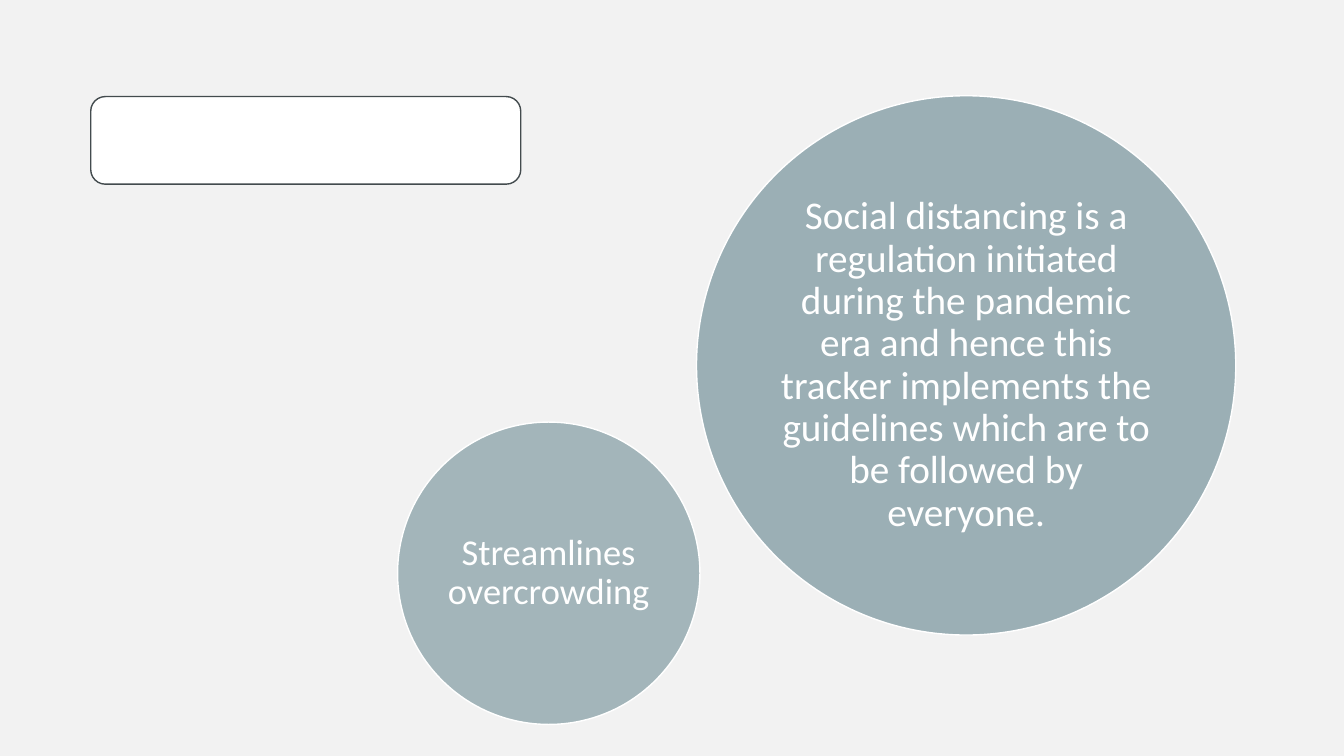
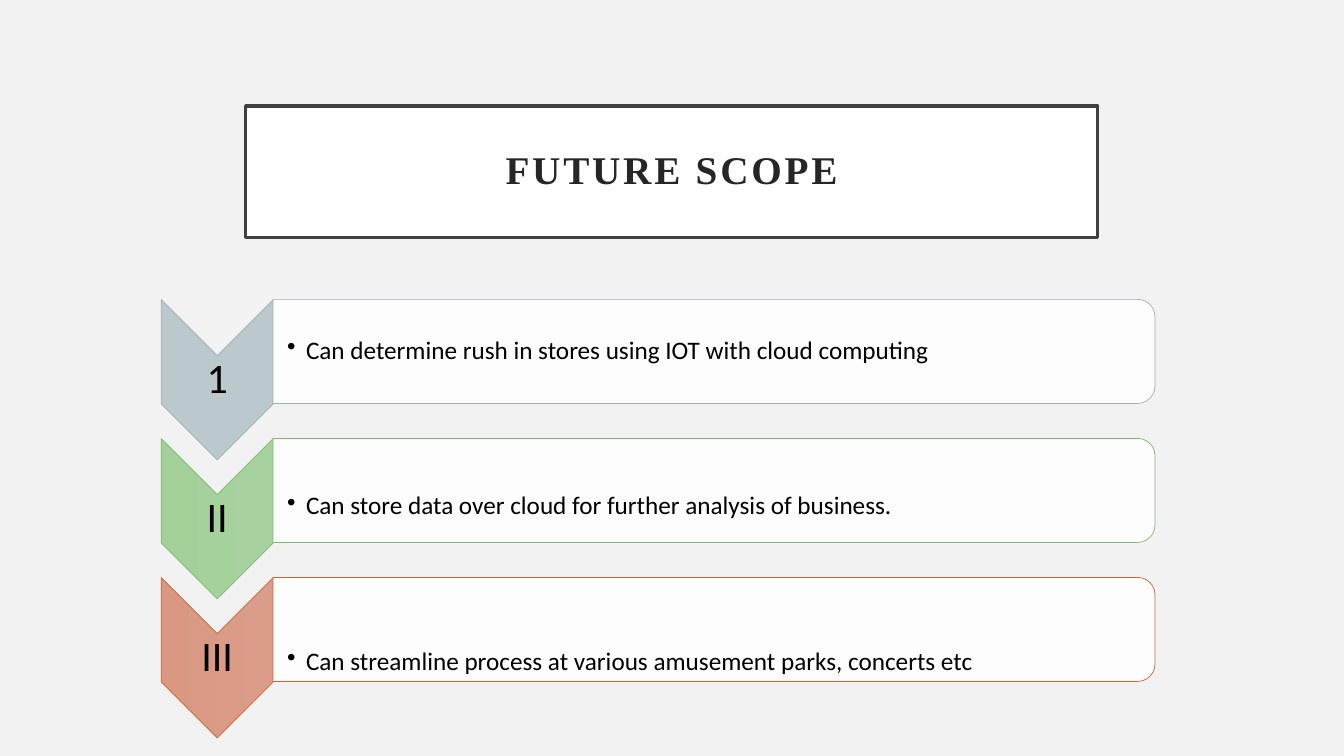
from lxml import etree
from pptx import Presentation
from pptx.dml.color import RGBColor
from pptx.enum import shapes, text
from pptx.oxml import ns
from pptx.util import Pt

BACK, WHITE, BLACK = "F2F2F2", "FFFFFF", "000000"
GREY = "9BAFB5"
BODY, HEAD = "Calibri", "Times New Roman"
KIND = shapes.MSO_SHAPE
ALIGN = text.PP_ALIGN

# number, sentence, line colour, gradient colours
ROWS = [
    ("1", "Can determine rush in stores using IOT with cloud computing",
     GREY, ("BBC8CC", "B8C6CB")),
    ("II", "Can store data over cloud for further analysis of business.",
     "7ABC69", ("A7D19E", "A3D099")),
    ("III", "Can streamline process at various amusement parks, concerts etc",
     "C96731", ("DB9C89", "DA9882")),
]


def tint(code):
    return RGBColor.from_string(code)


def sub(parent, tag, **attrs):
    return etree.SubElement(parent, ns.qn(tag), attrs)


def fade(shape, share):
    """Make a solid fill opaque to the given percentage only."""
    color = shape.fill._xPr.find(ns.qn("a:solidFill"))[0]
    sub(color, "a:alpha", val=str(share * 1000))


def draw(slide, kind, box, line, width, fill=WHITE, turn=0):
    """Add a preset shape; a pair of fill colours makes a gradient."""
    shape = slide.shapes.add_shape(kind, *map(Pt, box))
    shape.shadow.inherit = False
    shape.rotation = turn
    shape.line.color.rgb = tint(line)
    shape.line.width = Pt(width)
    if isinstance(fill, str):
        shape.fill.solid()
        shape.fill.fore_color.rgb = tint(fill)
    else:
        shape.fill.gradient()
        shape.fill.gradient_angle = 270
        for stop, code in zip(shape.fill.gradient_stops, fill):
            stop.color.rgb = tint(code)
    return shape


def write(shape, words, size, color, font=BODY, inset=(3, 3, 3, 3),
          align=ALIGN.CENTER):
    """Set one paragraph in the shape and return it with its run."""
    frame = shape.text_frame
    frame.word_wrap = True
    frame.vertical_anchor = text.MSO_ANCHOR.MIDDLE
    (frame.margin_left, frame.margin_top,
     frame.margin_right, frame.margin_bottom) = map(Pt, inset)
    para = frame.paragraphs[0]
    para.alignment = align
    para.line_spacing = 0.9
    run = para.add_run()
    run.text = words
    run.font.name = font
    run.font.size = Pt(size)
    run.font.color.rgb = tint(color)
    return para, run


def label(slide, box, *args, **style):
    return write(slide.shapes.add_textbox(*map(Pt, box)), *args, **style)


def around(x, y, wide, high):
    """Box with its centre at x, y."""
    return x - wide / 2, y - high / 2, wide, high


def bullet(para):
    props = para._p.get_or_add_pPr()
    indent = Pt(13.5)
    props.set("marL", str(indent))
    props.set("indent", str(-indent))
    sub(props, "a:buChar", char="•")


def circle(slide, left, top, size, words, points):
    shape = draw(slide, KIND.OVAL, (left, top, size, size), WHITE, 1, GREY)
    write(shape, words, points, WHITE)
    return shape


def title(slide, words):
    shape = draw(slide, KIND.RECTANGLE, (175.5, 75.8, 608.5, 93.8), "404040", 2.5)
    _, run = write(shape, words, 28, "262626", HEAD, (14.4,) * 4)
    run.font.bold = True
    run.font._element.set("spc", "200")


def row(slide, index, mark, words, line, fill):
    mid = 251 + 99.3 * index
    spot = (155.2, mid + 20.2)
    draw(slide, KIND.CHEVRON, around(*spot, 114.5, 80), line, 0.5, fill, 90)
    label(slide, around(*spot, 80, 34.5), mark, 30, BLACK, inset=(1.5,) * 4)
    panel = draw(slide, KIND.ROUND_2_SAME_RECTANGLE,
                 around(510, mid, 74.3, 630), line, 0.5, turn=90)
    fade(panel, 90)
    # each sentence sits a little lower in its panel than the one above
    para, _ = label(slide, around(508.3, mid + 11.7 * index, 626.4, 67),
                    words, 18, BLACK, inset=(10, 1, 1, 1), align=ALIGN.LEFT)
    bullet(para)


def benefits(slide):
    circle(slide, 497.5, 68.4, 385.2,
           "Social distancing is a regulation initiated during the pandemic era "
           "and hence this tracker implements the guidelines which are to be "
           "followed by everyone.", 28)
    draw(slide, KIND.ROUNDED_RECTANGLE, (64.8, 69, 307.2, 62.6), "434B4E", 1)
    fade(circle(slide, 284, 301.5, 216, "Streamlines overcrowding", 26), 90)


def future(slide):
    title(slide, "FUTURE SCOPE")
    for index, entry in enumerate(ROWS):
        row(slide, index, *entry)


def main():
    prs = Presentation()
    prs.slide_width, prs.slide_height = Pt(960), Pt(540)
    back = prs.slide_master.background.fill
    back.solid()
    back.fore_color.rgb = tint(BACK)
    for build in (benefits, future):
        build(prs.slides.add_slide(prs.slide_layouts[6]))
    prs.save("out.pptx")


if __name__ == "__main__":
    main()
